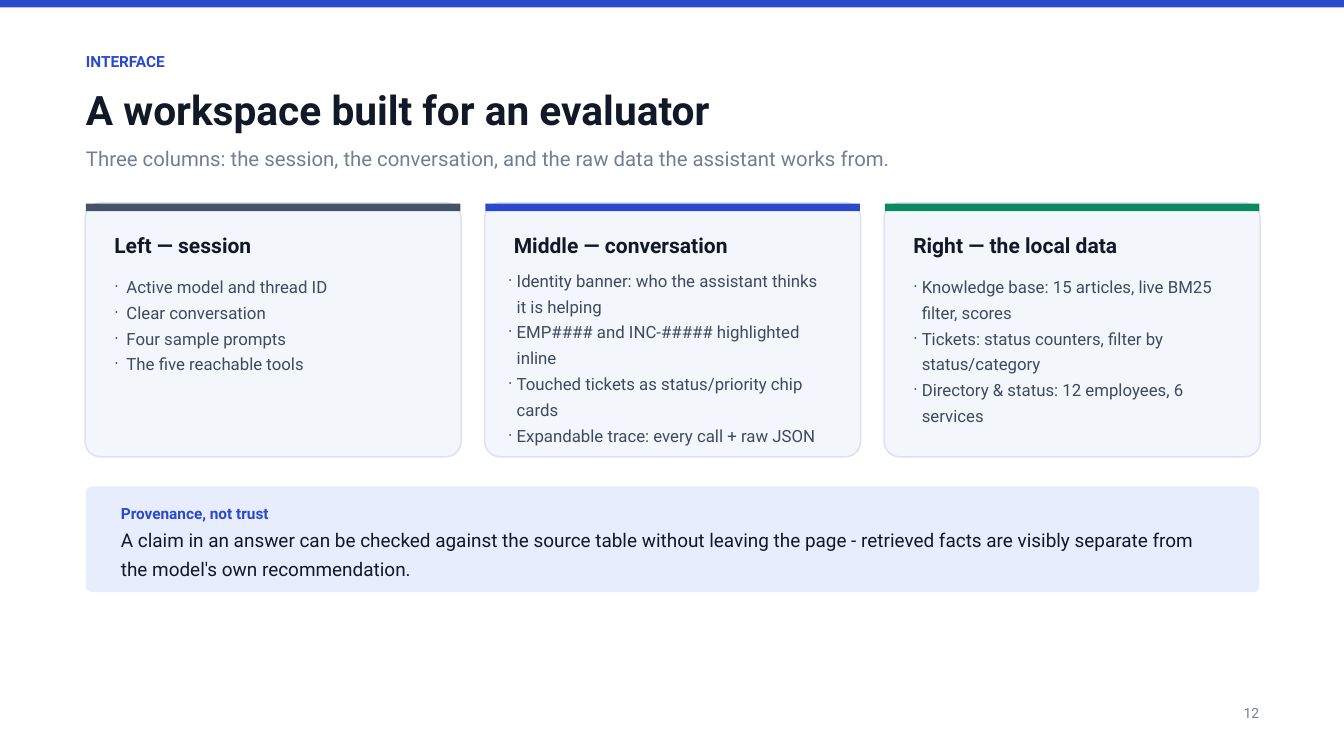
import pptx
import pptx.util
import pptx.dml.color
import pptx.enum.shapes
import pptx.enum.text
from lxml import etree
from pptx.oxml.ns import qn
from pptx.util import Cm

RGBColor = pptx.dml.color.RGBColor
MSO_SHAPE = pptx.enum.shapes.MSO_SHAPE
PP_ALIGN = pptx.enum.text.PP_ALIGN

BLUE = RGBColor(0x2B, 0x4A, 0xCB)
SLATE = RGBColor(0x47, 0x52, 0x69)
GREEN = RGBColor(0x0B, 0x8A, 0x5F)
INK = RGBColor(0x11, 0x18, 0x27)
BODY = RGBColor(0x3F, 0x49, 0x5F)
MUTED = RGBColor(0x74, 0x7E, 0x93)
CARD_FILL = RGBColor(0xF3, 0xF6, 0xFB)
CARD_LINE = RGBColor(0xDD, 0xE3, 0xEE)
NOTICE_FILL = RGBColor(0xE8, 0xED, 0xFD)

FONT = "Roboto"
SLIDE_W, SLIDE_H = 50.8, 28.58
LEFT, CONTENT_W = 3.25, 44.35
CARD_W, CARD_GAP, CARD_TOP, CARD_H = 14.15, 0.95, 7.67, 9.6
EDGE = 0.03
TEXT_W = 12.01

# size, line spacing, colour, bold
LABEL = (16.5, 25.4, BLUE, True)
TITLE = (43.5, 66.9, INK, True)
SUBTITLE = (21.8, 33.4, MUTED, False)
HEADING = (22.5, 34.6, INK, True)
LIST = (18, 27.7, BODY, False)
STATEMENT = (20.3, 31.1, INK, False)
PAGE = (15, 23.1, MUTED, False)

# heading, bar colour, list left inset, list top, bullet indent, items
CARDS = [
    ("Left — session", SLATE, 1.07, 10.24, 0.46, [
        "Active model and thread ID",
        "Clear conversation",
        "Four sample prompts",
        "The five reachable tools"]),
    ("Middle — conversation", BLUE, 0.86, 10.01, 0.32, [
        "Identity banner: who the assistant thinks it is helping",
        "EMP#### and INC-##### highlighted inline",
        "Touched tickets as status/priority chip cards",
        "Expandable trace: every call + raw JSON"]),
    ("Right — the local data", GREEN, 1.07, 10.24, 0.32, [
        "Knowledge base: 15 articles, live BM25 filter, scores",
        "Tickets: status counters, filter by status/category",
        "Directory & status: 12 employees, 6 services"]),
]


def place(sp, left, top, width, height):
    sp.left, sp.top, sp.width, sp.height = Cm(left), Cm(top), Cm(width), Cm(height)


def format_paragraph(p, style, align=PP_ALIGN.LEFT):
    size, spacing, color, bold = style
    p.alignment = align
    p.line_spacing = pptx.util.Pt(spacing)
    p.space_before = p.space_after = pptx.util.Pt(0)
    for r in p.runs:
        r.font.name = FONT
        r.font.size = pptx.util.Pt(size)
        r.font.bold = bold
        r.font.color.rgb = color


def write(sp, lines, styles, align=PP_ALIGN.LEFT):
    tf = sp.text_frame
    tf.text = "\n".join(lines)
    tf.word_wrap = True
    tf.auto_size = pptx.enum.text.MSO_AUTO_SIZE.NONE
    tf.vertical_anchor = pptx.enum.text.MSO_ANCHOR.TOP
    tf.margin_left = tf.margin_top = tf.margin_right = tf.margin_bottom = 0
    for p, style in zip(tf.paragraphs, styles):
        format_paragraph(p, style, align)


def add_text(s, box, lines, styles, align=PP_ALIGN.LEFT):
    write(s.shapes.add_textbox(*map(Cm, box)), lines, styles, align)


def add_block(s, box, fill, line=None, radius=0):
    kind = MSO_SHAPE.ROUNDED_RECTANGLE if radius else MSO_SHAPE.RECTANGLE
    sp = s.shapes.add_shape(kind, *map(Cm, box))
    sp.shadow.inherit = False
    sp.fill.solid()
    sp.fill.fore_color.rgb = fill
    if radius:
        sp.adjustments[0] = radius / box[3]
    if line:
        sp.line.color.rgb = line
        sp.line.width = pptx.util.Pt(1.65)
    else:
        sp.line.fill.background()


def add_bullet(p, indent):
    pPr = p._p.get_or_add_pPr()
    pPr.set("marL", str(Cm(indent)))
    pPr.set("indent", str(-Cm(indent)))
    etree.SubElement(pPr, qn("a:buFont")).set("typeface", FONT)
    etree.SubElement(pPr, qn("a:buChar")).set("char", "·")


def fill_list(s, ph, box, items, indent):
    s.shapes.element.append(ph.element)
    place(ph, *box)
    write(ph, items, [LIST] * len(items))
    for p in ph.text_frame.paragraphs:
        add_bullet(p, indent)


def add_card(s, ph, x, card):
    heading, color, inset, list_top, indent, items = card
    add_block(s, (x - EDGE, CARD_TOP, CARD_W + 2 * EDGE, CARD_H),
              CARD_FILL, CARD_LINE, 0.58)
    add_block(s, (x, CARD_TOP + EDGE, CARD_W, 0.28), color)
    add_text(s, (x + 1.07, 8.53, TEXT_W, 1.37), [heading], [HEADING])
    fill_list(s, ph, (x + inset, list_top, TEXT_W, 6.7), items, indent)


def add_header(s):
    add_block(s, (0, 0, SLIDE_W, 0.28), BLUE)
    add_text(s, (LEFT, 1.78, CONTENT_W, 1.35), ["INTERFACE"], [LABEL])
    place(s.shapes.title, LEFT, 2.69, CONTENT_W, 2.51)
    write(s.shapes.title, ["A workspace built for an evaluator"], [TITLE])
    add_text(s, (LEFT, 5.28, 40.54, 1.75),
             ["Three columns: the session, the conversation, and the raw data "
              "the assistant works from."], [SUBTITLE])


def add_notice(s):
    add_block(s, (LEFT, 18.39, CONTENT_W, 4), NOTICE_FILL, radius=0.23)
    add_text(s, (4.57, 18.85, 41.68, 3.05),
             ["Provenance, not trust",
              "A claim in an answer can be checked against the source table without "
              "leaving the page - retrieved facts are visibly separate from the "
              "model's own recommendation."], [LABEL, STATEMENT])


def main():
    prs = pptx.Presentation()
    prs.slide_width, prs.slide_height = Cm(SLIDE_W), Cm(SLIDE_H)
    s = prs.slides.add_slide(prs.slide_layouts.get_by_name("Comparison"))
    *lists, spare = [ph for ph in s.placeholders if ph.placeholder_format.idx > 0]
    s.shapes.element.remove(spare.element)
    add_header(s)
    for i, (ph, card) in enumerate(zip(lists, CARDS)):
        add_card(s, ph, LEFT + i * (CARD_W + CARD_GAP), card)
    add_notice(s)
    add_text(s, (43.03, 26.44, 4.57, 1.32), ["12"], [PAGE], PP_ALIGN.RIGHT)
    prs.save("out.pptx")


if __name__ == "__main__":
    main()
